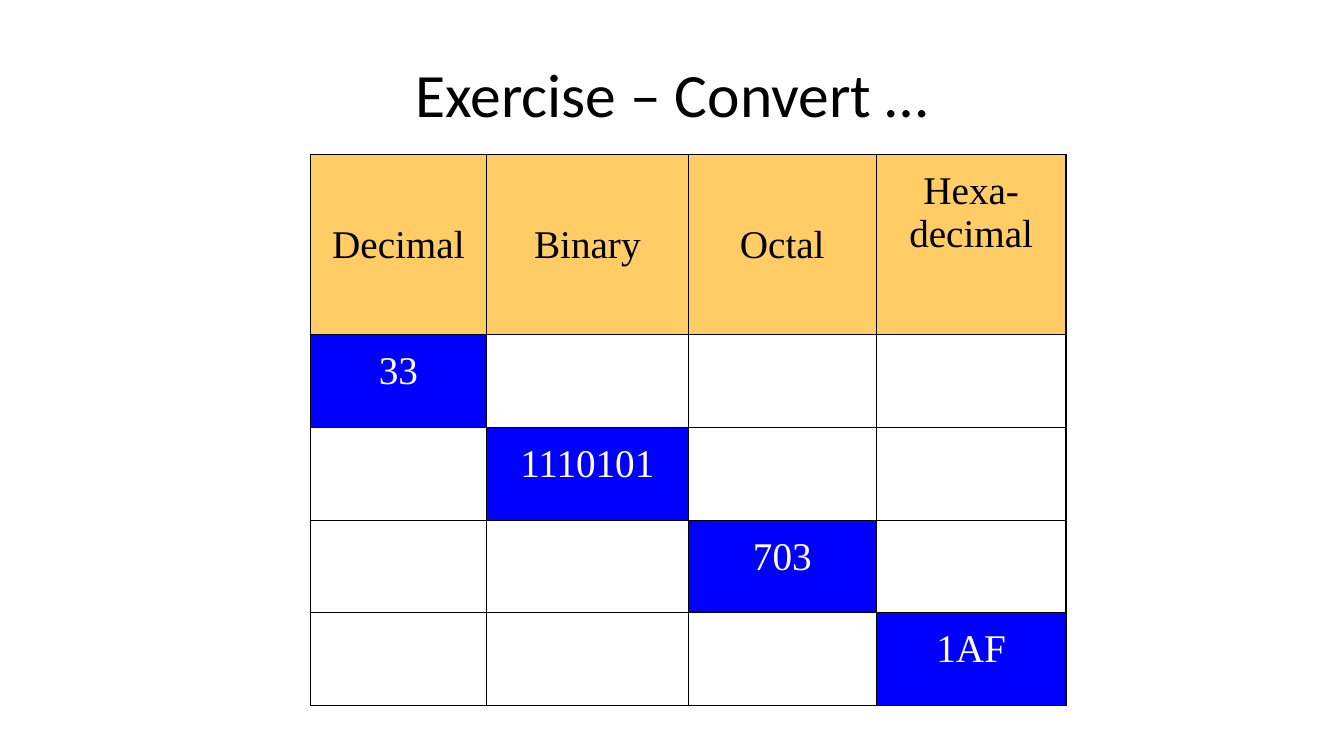
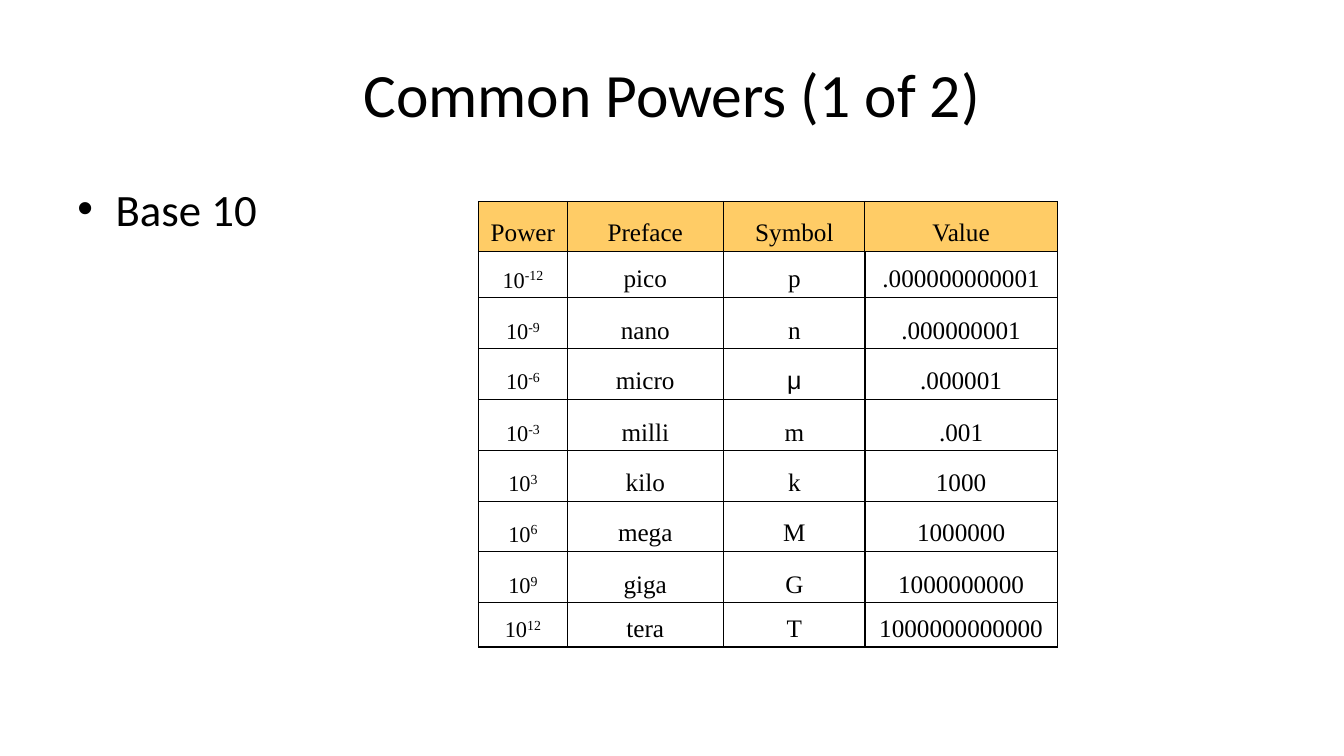
from lxml import etree
from pptx import Presentation
from pptx.dml.color import RGBColor
from pptx.enum.text import MSO_ANCHOR, PP_ALIGN
from pptx.oxml.ns import qn
from pptx.util import Inches, Pt

CENTER, LEFT = PP_ALIGN.CENTER, PP_ALIGN.LEFT
TOP, MIDDLE, BOTTOM = MSO_ANCHOR.TOP, MSO_ANCHOR.MIDDLE, MSO_ANCHOR.BOTTOM
COLORS = {"text": "000000", "header": "FFCC66", "given": "0000FF", "given_text": "FFFFFF"}
TITLE_FONT, TABLE_FONT = "Calibri", "Times New Roman"
OUTER_LINE, INNER_LINE = Pt(1.08), Pt(0.45)


def add_run(paragraph, text, size, font, color="text", baseline=0):
    run = paragraph.add_run()
    run.text = text
    run.font.size = Pt(size)
    run.font.name = font
    run.font.color.rgb = RGBColor.from_string(COLORS[color])
    if baseline:
        run.font._element.set("baseline", str(baseline))


def add_grid(slide, left, top, widths, heights):
    """Add a table with thin inner rules, a heavier frame and a filled header."""
    grid = slide.shapes.add_table(len(heights), len(widths), Inches(left), Inches(top),
                                  Inches(sum(widths)), Inches(sum(heights))).table
    grid.first_row = grid.horz_banding = False
    for column, width in zip(grid.columns, widths):
        column.width = Inches(width)
    for row, height in zip(grid.rows, heights):
        row.height = Inches(height)
    for r in range(len(heights)):
        for c in range(len(widths)):
            cell = grid.cell(r, c)
            cell.text_frame.paragraphs[0].alignment = CENTER
            outer = {"L": c == 0, "R": c == len(widths) - 1,
                     "T": r == 0, "B": r == len(heights) - 1}
            for side, is_outer in outer.items():
                line = etree.SubElement(cell._tc.get_or_add_tcPr(), qn("a:ln" + side),
                                        w=str(OUTER_LINE if is_outer else INNER_LINE))
                fill = etree.SubElement(line, qn("a:solidFill"))
                etree.SubElement(fill, qn("a:srgbClr"), val=COLORS["text"])
            if r == 0:
                cell.fill.solid()
                cell.fill.fore_color.rgb = RGBColor.from_string(COLORS["header"])
            else:
                cell.fill.background()
    return grid


prs = Presentation()
prs.slide_width, prs.slide_height = Inches(13.34), Inches(7.5)

# Slides and their titles
slides = []
for title in ("Exercise – Convert …", "Common Powers (1 of 2)"):
    slide = prs.slides.add_slide(prs.slide_layouts[6])
    frame = slide.shapes.add_textbox(Inches(0.67), Inches(0.3), Inches(12), Inches(1.25)).text_frame
    frame.word_wrap = True
    frame.vertical_anchor = MIDDLE
    frame.paragraphs[0].alignment = CENTER
    add_run(frame.paragraphs[0], title, 44, TITLE_FONT)
    slides.append(slide)
exercise, powers = slides

# Exercise: one given number per row, on the diagonal
conversion = add_grid(exercise, 3.08, 1.53, [1.75, 2, 1.87, 1.88], [1.79] + [0.92] * 4)
headings = [["Decimal"], ["Binary"], ["Octal"], ["Hexa-", "decimal"]]
for c, lines in enumerate(headings):
    cell = conversion.cell(0, c)
    cell.vertical_anchor = TOP
    cell.margin_top = Inches(0.69 if len(lines) == 1 else 0.15)
    for i, line in enumerate(lines):
        if i:
            cell.text_frame.paragraphs[0].add_line_break()
        add_run(cell.text_frame.paragraphs[0], line, 28, TABLE_FONT)
for i, number in enumerate(["33", "1110101", "703", "1AF"]):
    cell = conversion.cell(i + 1, i)
    cell.margin_top = Inches(0.15)
    cell.fill.solid()
    cell.fill.fore_color.rgb = RGBColor.from_string(COLORS["given"])
    add_run(cell.text_frame.paragraphs[0], number, 28, TABLE_FONT, "given_text")

# Powers: bullet
frame = powers.shapes.add_textbox(Inches(0.67), Inches(1.75), Inches(12), Inches(4.95)).text_frame
frame.word_wrap = True
base = frame.paragraphs[0]
base.alignment = LEFT
props = base._p.get_or_add_pPr()
props.set("marL", str(Inches(0.38)))
props.set("indent", str(-Inches(0.38)))
etree.SubElement(props, qn("a:buFont"), typeface="Arial")
etree.SubElement(props, qn("a:buChar"), char="•")
add_run(base, "Base 10", 32, TITLE_FONT)

# Powers: prefix table with the value table against its right side
prefixes = [
    ("-12", "pico", "p", ".000000000001"),
    ("-9", "nano", "n", ".000000001"),
    ("-6", "micro", "μ", ".000001"),
    ("-3", "milli", "m", ".001"),
    ("3", "kilo", "k", "1000"),
    ("6", "mega", "M", "1000000"),
    ("9", "giga", "G", "1000000000"),
    ("12", "tera", "T", "1000000000000"),
]
row_heights = [0.49, 0.46, 0.51, 0.5, 0.51, 0.5, 0.5, 0.51, 0.44]
names = add_grid(powers, 4.75, 2, [0.88, 1.55, 1.41], row_heights)
values = add_grid(powers, 8.58, 2, [1.92], row_heights)
for r, row in enumerate([("Power", "Preface", "Symbol", "Value")] + prefixes):
    for c, text in enumerate(row):
        cell = names.cell(r, c) if c < 3 else values.cell(r, 0)
        cell.vertical_anchor = BOTTOM
        paragraph = cell.text_frame.paragraphs[0]
        paragraph.line_spacing = 0.8
        if r and c == 0:
            add_run(paragraph, "10", 16, TABLE_FONT)
            add_run(paragraph, text, 17, TABLE_FONT, baseline=30000)
        else:
            add_run(paragraph, text, 18, "Arial" if text == "μ" else TABLE_FONT)

prs.save("out.pptx")
